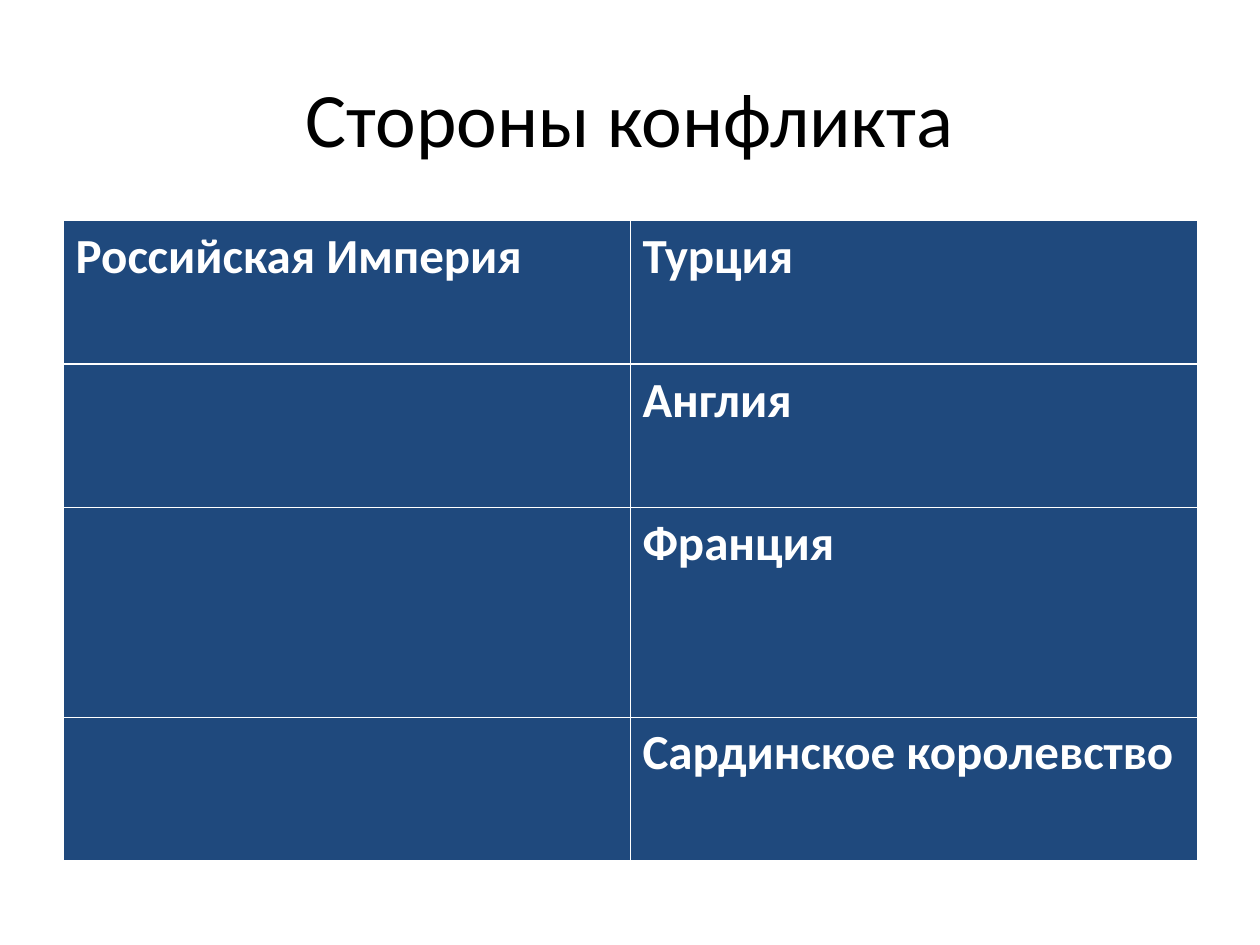
from dataclasses import dataclass

from lxml import etree
from pptx import Presentation
from pptx import util as u
from pptx.dml import color
from pptx.enum import text
from pptx.oxml import ns


@dataclass(frozen=True)
class Theme:
    font: str = "Calibri"
    title_size: int = 44
    cell_size: int = 28
    ink: str = "000000"
    paper: str = "FFFFFF"
    navy: str = "1F497D"
    thin: float = 0.45
    thick: float = 1.47


class SlideBuilder:
    def __init__(self, slide, theme):
        self.slide = slide
        self.theme = theme

    def add_words(self, paragraph, words, size, ink, bold=False):
        run = paragraph.add_run()
        run.text = words
        formats = {"name": self.theme.font, "size": u.Pt(size), "bold": bold}
        for key, value in formats.items():
            setattr(run.font, key, value)
        run.font.color.rgb = color.RGBColor.from_string(ink)

    def title(self, words, left, top, width, height):
        frame = self.slide.shapes.add_textbox(
            *map(u.Inches, (left, top, width, height))).text_frame
        formats = {"word_wrap": True, "vertical_anchor": text.MSO_ANCHOR.MIDDLE}
        for key, value in formats.items():
            setattr(frame, key, value)
        heading = frame.paragraphs[0]
        heading.alignment = text.PP_ALIGN.CENTER
        self.add_words(heading, words, self.theme.title_size, self.theme.ink)

    def border(self, cell, side, width):
        """Draw one cell edge; side is L, R, T or B, in that order."""
        edge = etree.SubElement(cell._tc.get_or_add_tcPr(), ns.qn(f"a:ln{side}"),
                                w=str(u.Pt(width)))
        fill = etree.SubElement(edge, ns.qn("a:solidFill"))
        etree.SubElement(fill, ns.qn("a:srgbClr"), val=self.theme.paper)

    def table(self, rows, row_heights, left, top, width):
        theme = self.theme
        grid = self.slide.shapes.add_table(
            len(rows), len(rows[0]),
            *map(u.Inches, (left, top, width, sum(row_heights)))).table
        for row, height in zip(grid.rows, row_heights):
            row.height = u.Inches(height)
        for r, parties in enumerate(rows):
            # The line under the first row is heavier than the others.
            edges = {"L": theme.thin, "R": theme.thin,
                     "T": theme.thick if r == 1 else theme.thin,
                     "B": theme.thick if r == 0 else theme.thin}
            for c, party in enumerate(parties):
                cell = grid.cell(r, c)
                for side, weight in edges.items():
                    self.border(cell, side, weight)
                cell.fill.solid()
                cell.fill.fore_color.rgb = color.RGBColor.from_string(theme.navy)
                if party:
                    self.add_words(cell.text_frame.paragraphs[0], party,
                                   theme.cell_size, theme.paper, bold=True)


def main():
    deck = Presentation()
    deck.slide_width, deck.slide_height = u.Inches(10), u.Inches(7.5)
    builder = SlideBuilder(deck.slides.add_slide(deck.slide_layouts[6]), Theme())
    builder.title("Стороны конфликта", 0.5, 0.3, 9, 1.25)
    sides = [
        ("Российская Империя", "Турция"),
        ("", "Англия"),
        ("", "Франция"),
        ("", "Сардинское королевство"),
    ]
    builder.table(sides, (1.14, 1.14, 1.66, 1.14), 0.5, 1.75, 9)
    deck.save("out.pptx")


if __name__ == "__main__":
    main()
